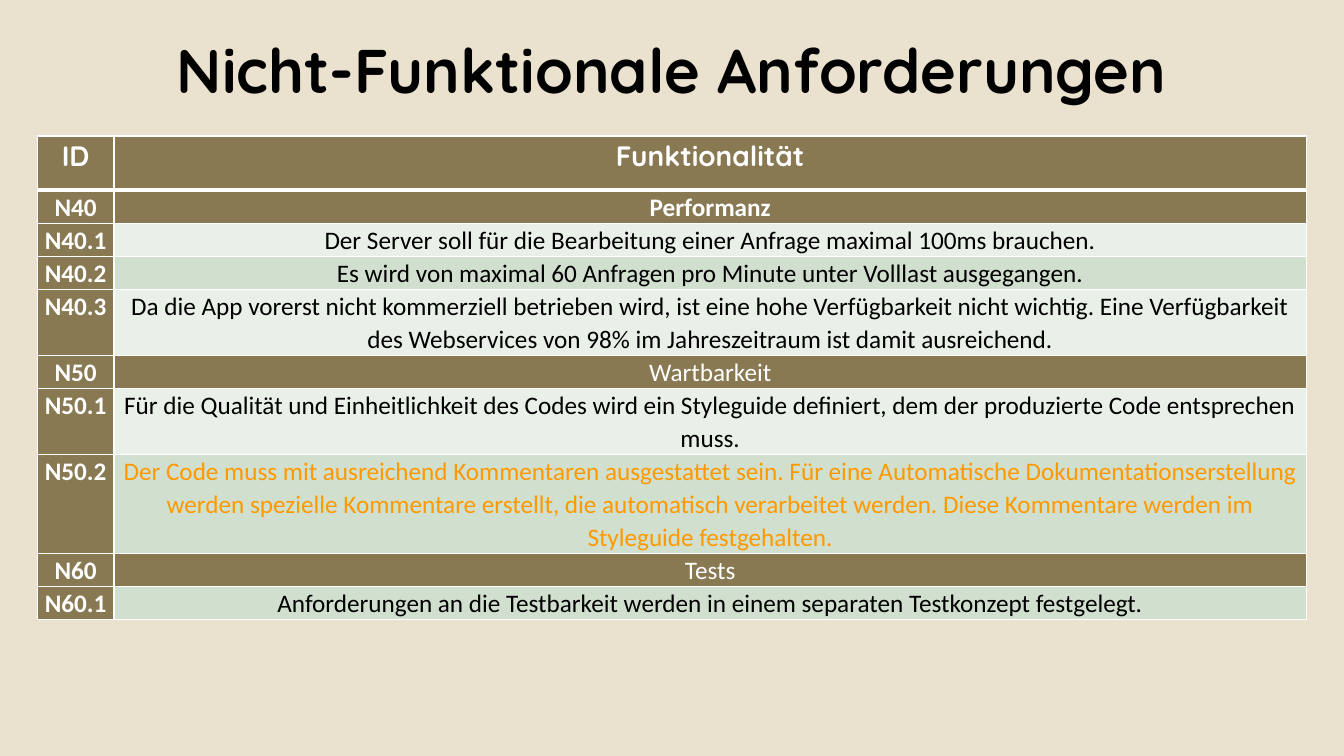
from dataclasses import dataclass

from lxml.etree import SubElement as Sub
from pptx import Presentation
from pptx.dml.color import RGBColor as Rgb
from pptx.enum.text import MSO_ANCHOR as Anchor, MSO_AUTO_SIZE as Fit, PP_ALIGN as Align
from pptx.oxml.ns import qn
from pptx.util import Pt

COLORS = {
    "sand": "EAE2CE",
    "brown": "887952",
    "light": "E9F0E8",
    "green": "D1DFCE",
    "white": "FFFFFF",
    "black": "000000",
    "orange": "FF9900",
}
HEAD, LINE = 38.7, 23.6
COLS = (54.72, 851.76)


@dataclass
class Style:
    """Look of one run of text."""
    font: str
    size: float
    color: str
    bold: bool
    space: float


@dataclass
class Need:
    """One table row: an ID, its text and how it is shown."""
    code: str
    text: str
    color: str = "black"
    group: bool = False
    bold: bool = False
    lines: int = 1


NEEDS = [
    Need("N40", "Performanz", "white", group=True, bold=True),
    Need("N40.1", "Der Server soll für die Bearbeitung einer Anfrage maximal 100ms brauchen."),
    Need("N40.2", "Es wird von maximal 60 Anfragen pro Minute unter Volllast ausgegangen."),
    Need("N40.3", "Da die App vorerst nicht kommerziell betrieben wird, ist eine hohe "
         "Verfügbarkeit nicht wichtig. Eine Verfügbarkeit des Webservices von 98% im "
         "Jahreszeitraum ist damit ausreichend.", lines=2),
    Need("N50", "Wartbarkeit", "white", group=True),
    Need("N50.1", "Für die Qualität und Einheitlichkeit des Codes wird ein Styleguide "
         "definiert, dem der produzierte Code entsprechen muss.", lines=2),
    Need("N50.2", "Der Code muss mit ausreichend Kommentaren ausgestattet sein. Für eine "
         "Automatische Dokumentationserstellung werden spezielle Kommentare erstellt, die "
         "automatisch verarbeitet werden. Diese Kommentare werden im Styleguide "
         "festgehalten.", "orange", lines=3),
    Need("N60", "Tests", "white", group=True),
    Need("N60.1", "Anforderungen an die Testbarkeit werden in einem separaten Testkonzept "
         "festgelegt."),
]


def paint(fill, color: str) -> None:
    """Fill an area with one named colour."""
    fill.solid()
    fill.fore_color.rgb = Rgb.from_string(COLORS[color])


def write(frame, text: str, style: Style) -> None:
    """Set centred text in a frame and format its run."""
    frame.text = text
    para = frame.paragraphs[0]
    para.alignment = Align.CENTER
    para.line_spacing = style.space
    font = para.runs[0].font
    font.name, font.size, font.bold = style.font, Pt(style.size), style.bold
    font.color.rgb = Rgb.from_string(COLORS[style.color])


def edge(cell, top: float, base: float) -> None:
    """Draw white borders around a cell."""
    props = cell._tc.get_or_add_tcPr()
    for side, width in (("L", 1), ("R", 1), ("T", top), ("B", base)):
        line = Sub(props, qn(f"a:ln{side}"), w=str(Pt(width)))
        Sub(Sub(line, qn("a:solidFill")), qn("a:srgbClr"), val=COLORS["white"])


def fill_cell(cell, text: str, style: Style, back: str, row: int) -> None:
    """Give a cell its text, borders, margins and fill."""
    edge(cell, 3 if row == 1 else 1, 3 if row == 0 else 1)
    cell.margin_left = cell.margin_right = Pt(5)
    cell.margin_top = cell.margin_bottom = Pt(0)
    write(cell.text_frame, text, style)
    paint(cell.fill, back)


def add_title(slide, text: str) -> None:
    """Place and format the slide title."""
    title = slide.shapes.title
    title.left, title.top, title.width, title.height = Pt(0), Pt(0), Pt(960), Pt(104.4)
    frame = title.text_frame
    frame.auto_size = Fit.NONE
    frame.vertical_anchor = Anchor.MIDDLE
    write(frame, text, Style("Quicksand", 44, "black", True, 0.9))


def add_needs(slide) -> None:
    """Build the table of requirements."""
    tall = [HEAD] + [LINE * need.lines for need in NEEDS]
    table = slide.shapes.add_table(len(tall), len(COLS), Pt(26.7), Pt(97.2),
                                   Pt(sum(COLS)), Pt(sum(tall))).table
    for col, width in zip(table.columns, COLS):
        col.width = Pt(width)
    for row, height in zip(table.rows, tall):
        row.height = Pt(height)
    head = Style("Quicksand", 20, "white", True, 1.07)
    for col, text in enumerate(("ID", "Funktionalität")):
        fill_cell(table.cell(0, col), text, head, "brown", 0)
    code = Style("Calibri", 18, "white", True, 1.07)
    for row, need in enumerate(NEEDS, 1):
        band = "green" if row % 2 else "light"
        body = Style("Calibri", 18, need.color, need.bold, 1.07)
        fill_cell(table.cell(row, 0), need.code, code, "brown", row)
        fill_cell(table.cell(row, 1), need.text, body, "brown" if need.group else band, row)


def main() -> None:
    """Build and save the slide."""
    deck = Presentation()
    deck.slide_width, deck.slide_height = Pt(960), Pt(540)
    slide = deck.slides.add_slide(deck.slide_layouts[5])
    paint(slide.background.fill, "sand")
    add_title(slide, "Nicht-Funktionale Anforderungen")
    add_needs(slide)
    deck.save("out.pptx")


main()
